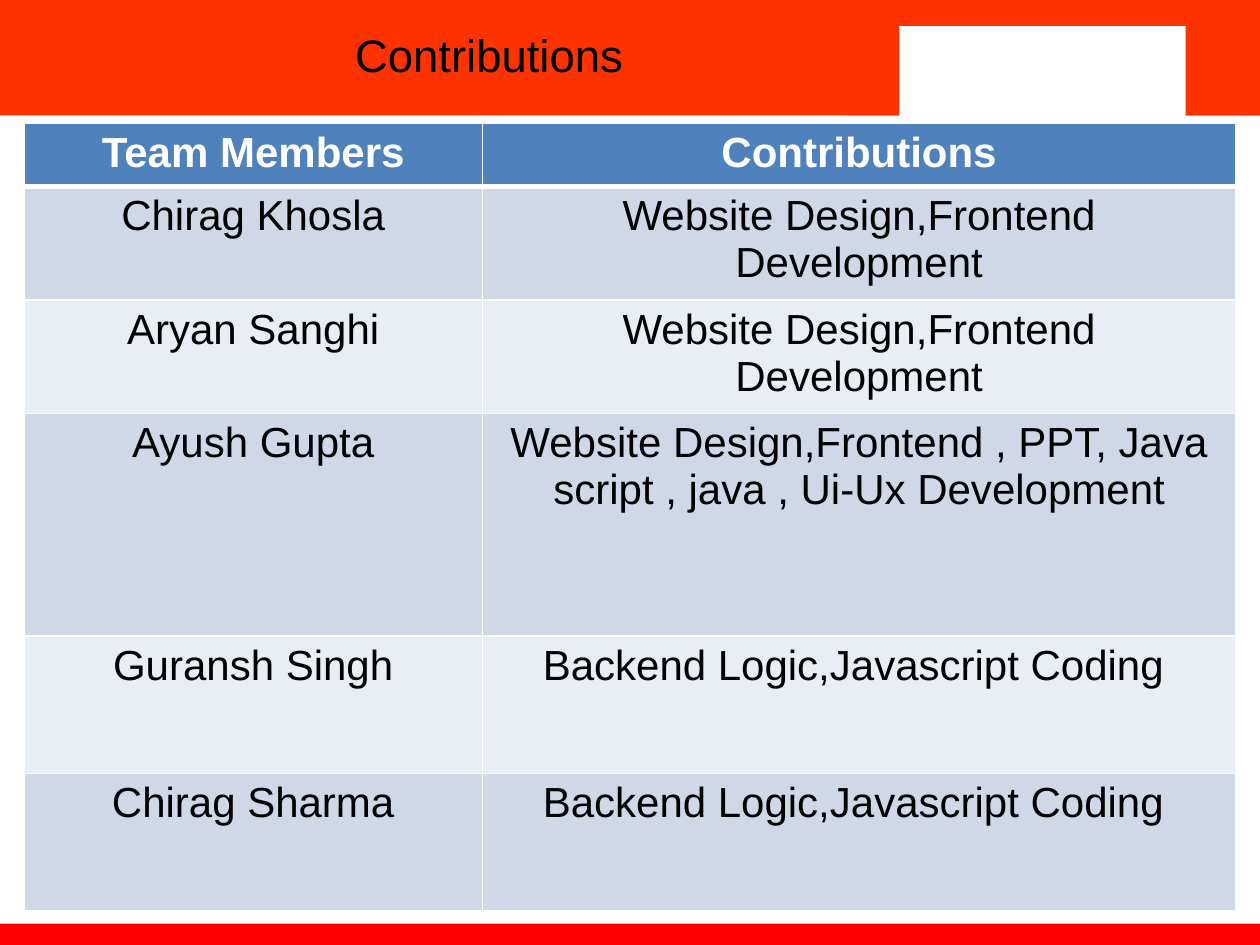
from lxml import etree
from pptx import Presentation
from pptx.dml.color import RGBColor
from pptx.enum.shapes import MSO_SHAPE
from pptx.enum.text import MSO_ANCHOR, PP_ALIGN
from pptx.oxml.ns import qn
from pptx.util import Pt

RECT = MSO_SHAPE.RECTANGLE
CENTER = PP_ALIGN.CENTER
MIDDLE = MSO_ANCHOR.MIDDLE

# Content
TITLE = "Contributions"
ROWS = [
    ("Team Members", "Contributions"),
    ("Chirag Khosla", "Website Design,Frontend Development"),
    ("Aryan Sanghi", "Website Design,Frontend Development"),
    ("Ayush Gupta", "Website Design,Frontend , PPT, Java script , java , Ui-Ux Development"),
    ("Guransh Singh", "Backend Logic,Javascript Coding "),
    ("Chirag Sharma", "Backend Logic,Javascript Coding "),
]
COL_WIDTHS = [262, 430.5]
ROW_HEIGHTS = [33.8, 61, 61, 127.2, 78.5, 78.5]
HEADER_FILL = "4F81BD"
BAND_FILLS = ["D0D8E8", "E9EDF4"]

# Left, top, width, height, colour
BARS = [
    (0, 0, 720, 66, "FF3300"),          # header band
    (0, 527.8, 720, 16, "FF0000"),      # footer band
    (483.8, 0, 236.2, 66, "FF3300"),    # header corner
    (514, 15, 163.5, 54, "FFFFFF"),     # logo space
]


def rgb(value):
    return RGBColor.from_string(value)


def write(tf, text, size=24, color="000000", bold=False):
    p = tf.paragraphs[0]
    p.alignment = CENTER
    r = p.add_run()
    r.text = text
    r.font.name = "Arial"
    r.font.size = Pt(size)
    r.font.bold = bold
    r.font.color.rgb = rgb(color)


def add_borders(cell, top, bottom):
    tc_pr = cell._tc.get_or_add_tcPr()
    for side, width in (("L", 1), ("R", 1), ("T", top), ("B", bottom)):
        ln = etree.SubElement(tc_pr, qn(f"a:ln{side}"), w=str(Pt(width)))
        fill = etree.SubElement(ln, qn("a:solidFill"))
        etree.SubElement(fill, qn("a:srgbClr"), val="FFFFFF")


prs = Presentation()
prs.slide_width, prs.slide_height = Pt(720), Pt(540)
s = prs.slides.add_slide(prs.slide_layouts[6])

# Bands
for *box, color in BARS:
    sp = s.shapes.add_shape(RECT, *map(Pt, box))
    sp.shadow.inherit = False
    sp.fill.solid()
    sp.fill.fore_color.rgb = rgb(color)
    sp.line.fill.background()

# Title
tf = s.shapes.add_textbox(Pt(57.6), Pt(10), Pt(444), Pt(42)).text_frame
tf.word_wrap = True
tf.vertical_anchor = MIDDLE
write(tf, TITLE, size=26)

# Contributions table
table = s.shapes.add_table(len(ROWS), len(COL_WIDTHS), Pt(13.7), Pt(70.6),
                           Pt(sum(COL_WIDTHS)), Pt(sum(ROW_HEIGHTS))).table
for col, width in zip(table.columns, COL_WIDTHS):
    col.width = Pt(width)
for i, (texts, height) in enumerate(zip(ROWS, ROW_HEIGHTS)):
    table.rows[i].height = Pt(height)
    header = i == 0
    for j, text in enumerate(texts):
        cell = table.cell(i, j)
        add_borders(cell, top=3 if i == 1 else 1, bottom=3 if header else 1)
        cell.fill.solid()
        cell.fill.fore_color.rgb = rgb(HEADER_FILL if header else BAND_FILLS[(i - 1) % 2])
        write(cell.text_frame, text, color="FFFFFF" if header else "000000", bold=header)

prs.save("out.pptx")
